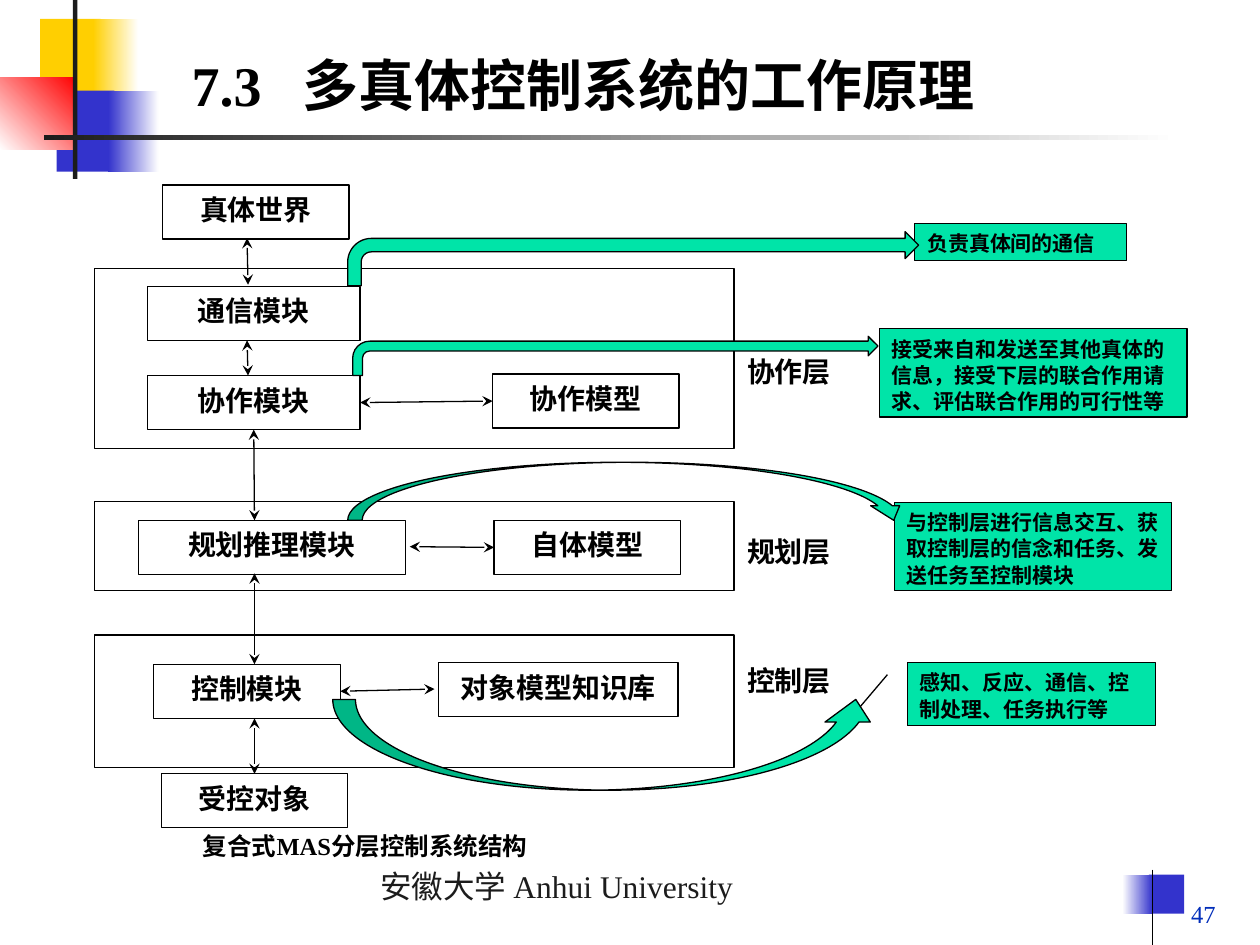
"""Build the slide on the layered control structure of a multi-agent system."""
from dataclasses import dataclass
from typing import NamedTuple, Optional

from lxml import etree
from pptx import Presentation
from pptx import util as u
from pptx.dml import color
from pptx.enum import shapes, text
from pptx.oxml import ns


@dataclass(frozen=True)
class Theme:
    latin: str = "Times New Roman"
    chinese: str = "Noto Sans CJK SC"
    black: str = "000000"
    white: str = "FFFFFF"
    dark: str = "1C1C1C"
    yellow: str = "FFCF01"
    blue: str = "3333CC"
    red: str = "FF0000"
    green: str = "00E4A8"
    number: str = "022EBA"
    title_size: int = 32
    footer_size: int = 18
    module_size: int = 16
    caption_size: int = 14
    note_size: int = 12
    line_width: float = 0.75
    leading: float = 1.25


class Place(NamedTuple):
    left: float
    top: float
    width: float
    height: float


class Panel(NamedTuple):
    place: Place
    start: str
    end: Optional[str] = None
    angle: int = 0


class Module(NamedTuple):
    name: str
    left: float
    top: float
    width: float = 3.76


class Link(NamedTuple):
    start: tuple
    end: tuple
    source: Optional[tuple] = None
    target: Optional[tuple] = None


class Note(NamedTuple):
    words: str
    place: Place
    kind: int = shapes.MSO_SHAPE.RECTANGLE
    adjustments: tuple = ()


class Pointer(NamedTuple):
    kind: int
    place: Place


T = Theme()
RECT = shapes.MSO_SHAPE.RECTANGLE
BENT = shapes.MSO_SHAPE.BENT_ARROW
TOP, LEFT, BOTTOM, RIGHT = range(4)
MODULE_HEIGHT = 1.09
LABEL_LEFT = 14.81

PANELS = [
    Panel(Place(0.81, 0.38, 1.22, 1.63), T.yellow),
    Panel(Place(1.88, 0.38, 0.91, 1.63), T.yellow, T.white),
    Panel(Place(1.14, 1.83, 1.17, 1.63), T.blue),
    Panel(Place(2.18, 1.83, 1.02, 1.63), T.blue, T.white),
    Panel(Place(0, 1.57, 1.55, 1.45), T.white, T.red, 45),
    Panel(Place(1.47, 0, 0.09, 3.61), T.dark),
    Panel(Place(0.89, 2.72, 22.86, 0.1), T.dark, T.white),
    Panel(Place(23.16, 17.63, 0.71, 0.79), T.blue),
    Panel(Place(22.63, 17.63, 0.61, 0.79), T.white, T.blue),
]
LAYERS = [Place(1.9, 12.8, 12.9, 2.67), Place(1.9, 10.11, 12.9, 1.8), Place(1.9, 5.41, 12.9, 3.63)]
LABELS = {"协作层": 6.99, "规划层": 10.62, "控制层": 13.23}
MODULES = [
    Module("真体世界", 3.28, 3.73),
    Module("受控对象", 3.25, 15.6),
    Module("通信模块", 2.97, 5.77, 4.29),
    Module("协作模块", 2.97, 7.57, 4.29),
    Module("协作模型", 9.93, 7.54),
    Module("规划推理模块", 2.79, 10.49, 5.38),
    Module("自体模型", 9.96, 10.49),
    Module("控制模块", 3.1, 13.39),
    Module("对象模型知识库", 8.84, 13.36, 4.83),
]
LINKS = [
    Link((4.98, 6.86), (5, 7.57)),
    Link((7.26, 8.08), (9.93, 8.08), ("协作模块", RIGHT), ("协作模型", LEFT)),
    Link((4.98, 4.8), (5, 5.74)),
    Link((8.26, 11.02), (9.96, 11.02), None, ("自体模型", LEFT)),
    Link((6.83, 13.89), (8.76, 13.89), ("控制模块", RIGHT)),
    Link((5.13, 8.66), (5.13, 10.49), ("协作模块", BOTTOM)),
    Link((5.13, 11.56), (5.13, 13.39)),
    Link((5.13, 14.48), (5.13, 15.6), None, ("受控对象", TOP)),
]
NOTES = [
    Note("感知、反应、通信、控制处理、任务执行等", Place(18.29, 13.36, 5, 1.27),
         shapes.MSO_SHAPE.LINE_CALLOUT_1, (0.19, -0.08, 0.7, -0.19)),
    Note("与控制层进行信息交互、获取控制层的信念和任务、发送任务至控制模块", Place(18.03, 10.13, 5.59, 1.78)),
    Note("接受来自和发送至其他真体的信息，接受下层的联合作用请求、评估联合作用的可行性等",
         Place(17.73, 6.63, 6.2, 1.78)),
    Note("负责真体间的通信", Place(18.44, 4.5, 4.27, 0.76)),
]
POINTERS = [
    Pointer(shapes.MSO_SHAPE.CURVED_UP_ARROW, Place(6.71, 14.1, 11, 1.83)),
    Pointer(shapes.MSO_SHAPE.CURVED_DOWN_ARROW, Place(7.01, 9.32, 11.3, 1.17)),
    Pointer(BENT, Place(7.11, 6.78, 10.59, 0.79)),
    Pointer(BENT, Place(7.01, 4.67, 11.51, 1.09)),
]


def cm(*lengths: float) -> list:
    """Convert numbers to centimetre lengths."""
    return [u.Cm(length) for length in lengths]


def rgb(value: str) -> color.RGBColor:
    """Turn a hexadecimal string into a colour."""
    return color.RGBColor.from_string(value)


def write(frame, *parts, size: int, ink: str = T.black, bold: bool = True, wrap: bool = True,
          align=text.PP_ALIGN.LEFT, anchor=text.MSO_ANCHOR.TOP, tab: float = 0) -> None:
    """Write one paragraph from strings or (string, typeface) pairs."""
    frame.word_wrap, frame.auto_size = wrap, text.MSO_AUTO_SIZE.NONE
    frame.vertical_anchor = anchor
    line = frame.paragraphs[0]
    if tab:
        stops = etree.SubElement(line._p.get_or_add_pPr(), ns.qn("a:tabLst"))
        etree.SubElement(stops, ns.qn("a:tab"), pos=str(u.Cm(tab)), algn="l")
    line.alignment, line.line_spacing = align, u.Pt(size * T.leading)
    for part in parts:
        words, face = (part, T.latin) if isinstance(part, str) else part
        run = line.add_run()
        run.text = words
        run.font.name, run.font.size, run.font.bold = face, u.Pt(size), bold
        run.font.color.rgb = rgb(ink)
        etree.SubElement(run.font._element, ns.qn("a:ea"), typeface=T.chinese)


def write_at(slide, place: Place, *parts, **style) -> None:
    """Place free text on the slide."""
    write(slide.shapes.add_textbox(*cm(*place)).text_frame, *parts, **style)


def draw_panel(slide, panel: Panel) -> None:
    """Draw a borderless plain or gradient block."""
    block = slide.shapes.add_shape(RECT, *cm(*panel.place))
    block.shadow.inherit = False
    block.line.fill.background()
    if panel.end is None:
        block.fill.solid()
        block.fill.fore_color.rgb = rgb(panel.start)
        return
    block.fill.gradient()
    block.fill.gradient_angle = panel.angle
    for stop, value in zip(block.fill.gradient_stops, (panel.start, panel.end)):
        stop.color.rgb = rgb(value)


def draw_outlined(slide, kind: int, place: Place, fill: str):
    """Draw a filled shape with a thin black outline."""
    figure = slide.shapes.add_shape(kind, *cm(*place))
    figure.shadow.inherit = False
    figure.fill.solid()
    figure.fill.fore_color.rgb = rgb(fill)
    figure.line.color.rgb, figure.line.width = rgb(T.black), u.Pt(T.line_width)
    return figure


def draw_line(slide, link: Link, boxes: dict, arrows: bool = True) -> None:
    """Draw a straight line and join it to its boxes."""
    line = slide.shapes.add_connector(shapes.MSO_CONNECTOR.STRAIGHT, *cm(*link.start, *link.end))
    line.line.color.rgb, line.line.width = rgb(T.black), u.Pt(T.line_width)
    if arrows:
        for tip in ("a:headEnd", "a:tailEnd"):
            etree.SubElement(line.line._get_or_add_ln(), ns.qn(tip), type="stealth")
    etree.SubElement(line._element.spPr, ns.qn("a:effectLst"))
    for join, spot in ((line.begin_connect, link.source), (line.end_connect, link.target)):
        if spot:
            join(boxes[spot[0]], spot[1])


def main() -> None:
    """Build and save the slide."""
    deck = Presentation()
    deck.slide_width, deck.slide_height = cm(25.4, 19.05)
    slide = deck.slides.add_slide(deck.slide_layouts[5])
    for panel in PANELS:
        draw_panel(slide, panel)
    draw_line(slide, Link((23.24, 17.53), (23.24, 19.05)), {}, arrows=False)
    title = slide.shapes.title
    title.left, title.top, title.width, title.height = cm(3.61, 0.84, 17.7, 1.6)
    write(title.text_frame, "7.3\t", ("多真体控制系统的工作原理", T.chinese), size=T.title_size, tab=2.23)

    for layer in LAYERS:
        draw_outlined(slide, RECT, layer, T.white)
    for label, top in LABELS.items():
        write_at(slide, Place(LABEL_LEFT, top, 3.23, MODULE_HEIGHT), label, size=T.module_size,
                 align=text.PP_ALIGN.JUSTIFY)
    boxes = {}
    for module in MODULES:
        place = Place(module.left, module.top, module.width, MODULE_HEIGHT)
        boxes[module.name] = draw_outlined(slide, RECT, place, T.white)
        write(boxes[module.name].text_frame, module.name, size=T.module_size, align=text.PP_ALIGN.CENTER)
    for link in LINKS:
        draw_line(slide, link, boxes)
    for note, pointer in zip(NOTES, POINTERS):
        remark = draw_outlined(slide, note.kind, note.place, T.green)
        for index, value in enumerate(note.adjustments):
            remark.adjustments[index] = value
        write(remark.text_frame, note.words, size=T.note_size)
        draw_outlined(slide, pointer.kind, pointer.place, T.green)

    write_at(slide, Place(3.84, 16.61, 13.34, 0.84), ("复合式", T.chinese), "MAS",
             ("分层控制系统结构", T.chinese), size=T.caption_size)
    write_at(slide, Place(7.42, 17.32, 7.77, 1.02), "安徽大学 Anhui University", size=T.footer_size,
             ink=T.dark, bold=False, wrap=False)
    write_at(slide, Place(19.48, 17.53, 5.28, 1.32), "47", size=T.caption_size, ink=T.number, bold=False,
             align=text.PP_ALIGN.RIGHT, anchor=text.MSO_ANCHOR.BOTTOM)
    deck.save("out.pptx")


if __name__ == "__main__":
    main()
